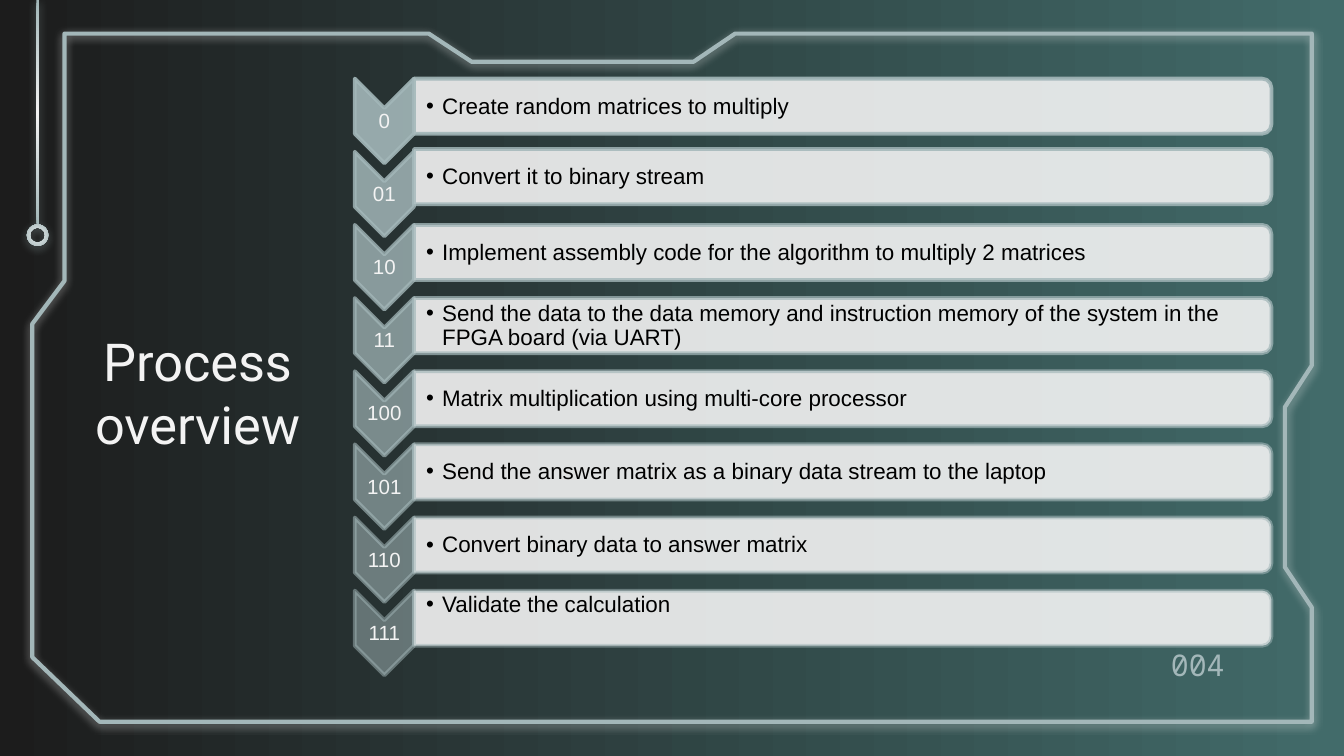
from lxml import etree
from pptx import Presentation
from pptx.dml.color import RGBColor
from pptx.enum.shapes import MSO_SHAPE as Shape
from pptx.enum.text import MSO_ANCHOR as Anchor, PP_ALIGN as Align
from pptx.oxml import parse_xml
from pptx.oxml.ns import nsdecls, qn
from pptx.util import Inches, Pt

LIGHT = "F3F3F3"
STEEL = "A3B7B9"
BLACK = "000000"
STEP_PITCH = (4.49 - 0.68) / 7

STEPS = [
    ("0", "Create random matrices to multiply", 0),
    ("01", "Convert it to binary stream", -0.02),
    ("10", "Implement assembly code for the algorithm to multiply 2 matrices", 0),
    ("11", "Send the data to the data memory and instruction memory of the system in the FPGA board (via UART)", 0),
    ("100", "Matrix multiplication using multi-core processor", 0),
    ("101", "Send the answer matrix as a binary data stream to the laptop", 0),
    ("110", "Convert binary data to answer matrix", 0),
    ("111", "Validate the calculation\n", 0),
]

FRAME = [
    (9.76, 0.25), (5.47, 0.25), (5.16, 0.46), (3.51, 0.46), (3.19, 0.25),
    (0.48, 0.25), (0.48, 2.09), (0.24, 2.41), (0.24, 4.89), (0.74, 5.37),
    (9.76, 5.37), (9.76, 4.52), (9.56, 4.22), (9.56, 3.03), (9.76, 2.72),
]


def color(value):
    return RGBColor.from_string(value)


def add_glow(shape, value):
    shape.shadow.inherit = False
    effects = shape.element.spPr.find(qn("a:effectLst"))
    effects.append(parse_xml(
        f'<a:outerShdw {nsdecls("a")} blurRad="{Pt(4.5)}" dist="{Pt(1.5)}" '
        f'dir="5400000" algn="bl" rotWithShape="0"><a:srgbClr val="{value}">'
        '<a:alpha val="50000"/></a:srgbClr></a:outerShdw>'))


def set_opacity(shape, *percents):
    for node, percent in zip(shape.element.spPr.iter(qn("a:srgbClr")), percents):
        etree.SubElement(node, qn("a:alpha"), val=str(round(percent * 1000)))


def set_background(page):
    fill = page.background.fill
    fill.gradient()
    fill.gradient_angle = 0
    for stop, value in zip(fill.gradient_stops, ("1C1C1C", "426B6A")):
        stop.color.rgb = color(value)


def add_frame(page):
    builder = page.shapes.build_freeform(
        Inches(FRAME[0][0]), Inches(FRAME[0][1]))
    builder.add_line_segments([(Inches(x), Inches(y)) for x, y in FRAME[1:]])
    frame = builder.convert_to_shape()
    frame.fill.background()
    frame.line.color.rgb = color(STEEL)
    frame.line.width = Pt(2.25)
    add_glow(frame, LIGHT)


def add_ornament(page, kind, left, top, width, height):
    shape = page.shapes.add_shape(
        kind, Inches(left), Inches(top), Inches(width), Inches(height))
    shape.line.fill.background()
    shape.fill.gradient()
    for stop, value in zip(shape.fill.gradient_stops, (LIGHT, STEEL)):
        stop.color.rgb = color(value)
    gradient = shape.element.spPr.find(qn("a:gradFill"))
    gradient.remove(gradient.find(qn("a:lin")))
    gradient.append(parse_xml(
        f'<a:path {nsdecls("a")} path="circle">'
        '<a:fillToRect l="50000" t="50000" r="50000" b="50000"/></a:path>'))
    add_glow(shape, STEEL)
    return shape


def write(box, text, size, font, value, align, insets):
    frame = box.text_frame
    frame.word_wrap = True
    frame.vertical_anchor = Anchor.MIDDLE
    frame.margin_left = Inches(insets[0])
    frame.margin_top = Inches(insets[1])
    frame.margin_right = Inches(insets[2])
    frame.margin_bottom = Inches(insets[3])
    para = frame.paragraphs[0]
    para.alignment = align
    for index, line in enumerate(text.split("\n")):
        if index:
            para.add_line_break()
        if line:
            span = para.add_run()
            span.text = line
            span.font.size = Pt(size)
            span.font.name = font
            span.font.color.rgb = color(value)
    return para


def add_text(page, left, top, width, height, *style):
    box = page.shapes.add_textbox(
        Inches(left), Inches(top), Inches(width), Inches(height))
    return write(box, *style)


def add_bullet(para):
    props = para._p.get_or_add_pPr()
    props.set("marL", str(Inches(0.12)))
    props.set("indent", str(Inches(-0.12)))
    tint = etree.SubElement(props, qn("a:buClr"))
    etree.SubElement(tint, qn("a:srgbClr"), val=BLACK)
    etree.SubElement(props, qn("a:buFont"), typeface="Arial")
    etree.SubElement(props, qn("a:buChar"), char="•")
    para.font.size = Pt(12)
    para.font.name = "Arial"


def add_turned_shape(page, kind, center_x, center_y, width, height, fill, opacities):
    shape = page.shapes.add_shape(
        kind, Inches(center_x - width / 2), Inches(center_y - height / 2),
        Inches(width), Inches(height))
    shape.rotation = 90
    shape.shadow.inherit = False
    shape.fill.solid()
    shape.fill.fore_color.rgb = color(fill)
    shape.line.color.rgb = color(STEEL)
    shape.line.width = Pt(2)
    set_opacity(shape, *opacities)


def add_step(page, index, label, text, nudge):
    offset = index * STEP_PITCH
    opacity = 90 - index * 40 / (len(STEPS) - 1)
    add_turned_shape(page, Shape.CHEVRON, 2.86, 0.9 + offset, 0.63, 0.44,
                     STEEL, (opacity, opacity))
    number = add_text(page, 2.64, 0.81 + offset, 0.44, 0.19, label, 11,
                      "Arial", LIGHT, Align.CENTER, [0.01] * 4)
    number.line_spacing = 0.9
    bar_y = 0.79 + offset + nudge
    add_turned_shape(page, Shape.ROUND_2_SAME_RECTANGLE, 6.27, bar_y, 0.41, 6.38,
                     LIGHT, (90, opacity))
    para = add_text(page, 3.08, bar_y - 0.18, 6.36, 0.37, text, 12,
                    "Arial", BLACK, Align.LEFT, [0.09, 0.01, 0.01, 0.01])
    para.line_spacing = 0.9
    add_bullet(para)


def add_title(page):
    title = page.shapes.title
    title.left, title.top = Inches(0.24), Inches(2.44)
    title.width, title.height = Inches(2.46), Inches(0.95)
    write(title, "Process overview", 28, "Roboto", LIGHT, Align.CENTER, [0.1] * 4)


def main():
    deck = Presentation()
    deck.slide_width = Inches(10)
    deck.slide_height = deck.slide_width * 9 // 16
    page = deck.slides.add_slide(deck.slide_layouts[5])
    set_background(page)
    add_frame(page)
    add_ornament(page, Shape.RECTANGLE, 0.27, 0, 0.02, 1.68)
    ring = add_ornament(page, Shape.DONUT, 0.2, 1.67, 0.16, 0.16)
    ring.adjustments[0] = 0.15
    add_title(page)
    add_text(page, 8.61, 4.85, 0.6, 0.19, "004", 16,
             "Noto Sans Mono", STEEL, Align.RIGHT, [0.1] * 4)
    for index, step in enumerate(STEPS):
        add_step(page, index, *step)
    deck.save("out.pptx")


if __name__ == "__main__":
    main()
